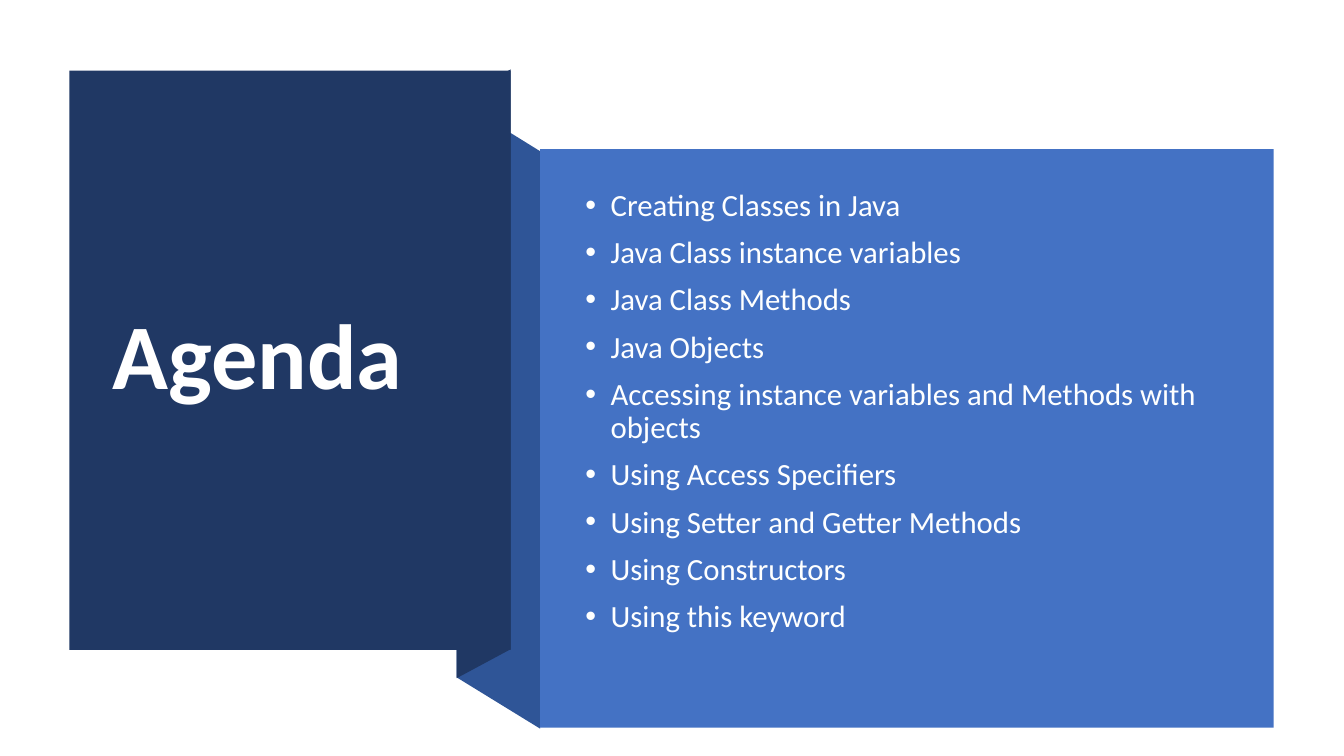
"""Builds the Agenda slide: a folded ribbon with a title and a list of topics."""
from lxml import etree
from pptx import Presentation
from pptx.dml.color import RGBColor
from pptx.enum.shapes import MSO_SHAPE
from pptx.enum.text import MSO_ANCHOR
from pptx.oxml.ns import qn
from pptx.util import Cm, Pt

RECTANGLE = MSO_SHAPE.RECTANGLE
MIDDLE, TOP = MSO_ANCHOR.MIDDLE, MSO_ANCHOR.TOP

TITLE = "Agenda"
TOPICS = [
    "Creating Classes in Java",
    "Java Class instance variables",
    "Java Class Methods",
    "Java Objects",
    "Accessing instance variables and Methods with objects",
    "Using Access Specifiers",
    "Using Setter and Getter Methods",
    "Using Constructors",
    "Using this keyword",
]
FONT = "Calibri"
NAVY, FOLD_BLUE, BLUE = "203864", "2F5597", "4472C4"
TITLE_WHITE, TOPIC_WHITE = "FFFFFF", "FEFFFF"

FOLD = [(13.61, 18.36), (11.51, 17.07), (11.51, 2.51), (13.61, 3.81)]
TUCK = [(12.87, 16.36), (11.51, 17.09), (11.51, 2.49), (12.87, 1.75)]
TITLE_PANEL = (1.75, 1.78, 11.12, 14.6)
TOPIC_PANEL = (13.61, 3.76, 18.49, 14.58)
TITLE_BOX = (2.59, 2.72, 9.42, 12.67)
TOPIC_BOX = (14.5, 4.78, 16.54, 11.38)
BULLET_INDENT = Cm(0.64)


def rgb(value):
    return RGBColor.from_string(value)


def paint(shape, color):
    shape.shadow.inherit = False
    shape.fill.solid()
    shape.fill.fore_color.rgb = rgb(color)
    shape.line.fill.background()


def add_fold(slide, corners, color):
    start, *rest = [(Cm(x), Cm(y)) for x, y in corners]
    builder = slide.shapes.build_freeform(*start)
    builder.add_line_segments(rest, close=True)
    paint(builder.convert_to_shape(), color)


def add_panel(slide, box, color):
    paint(slide.shapes.add_shape(RECTANGLE, *map(Cm, box)), color)


def add_bullet(paragraph):
    properties = paragraph._p.get_or_add_pPr()
    properties.set("marL", str(BULLET_INDENT))
    properties.set("indent", str(-BULLET_INDENT))
    etree.SubElement(properties, qn("a:buFont")).set("typeface", "Arial")
    etree.SubElement(properties, qn("a:buChar")).set("char", "•")


def add_text(slide, box, lines, size, color, anchor, bold=False, bullets=False):
    frame = slide.shapes.add_textbox(*map(Cm, box)).text_frame
    frame.word_wrap = True
    frame.vertical_anchor = anchor
    frame.margin_top = frame.margin_bottom = 0
    for index, line in enumerate(lines):
        paragraph = frame.add_paragraph() if index else frame.paragraphs[0]
        if bullets:
            add_bullet(paragraph)
        paragraph.line_spacing = 0.9
        paragraph.space_before = Pt(10 if index else 0)
        run = paragraph.add_run()
        run.text = line
        run.font.name = FONT
        run.font.size = Pt(size)
        run.font.bold = bold
        run.font.color.rgb = rgb(color)


def main():
    deck = Presentation()
    deck.slide_width, deck.slide_height = Cm(33.87), Cm(19.05)
    slide = deck.slides.add_slide(deck.slide_layouts[6])
    add_fold(slide, FOLD, FOLD_BLUE)
    add_fold(slide, TUCK, NAVY)
    add_panel(slide, TITLE_PANEL, NAVY)
    add_text(slide, TITLE_BOX, [TITLE], 66, TITLE_WHITE, MIDDLE, bold=True)
    add_panel(slide, TOPIC_PANEL, BLUE)
    add_text(slide, TOPIC_BOX, TOPICS, 22, TOPIC_WHITE, TOP, bullets=True)
    deck.save("out.pptx")


if __name__ == "__main__":
    main()
